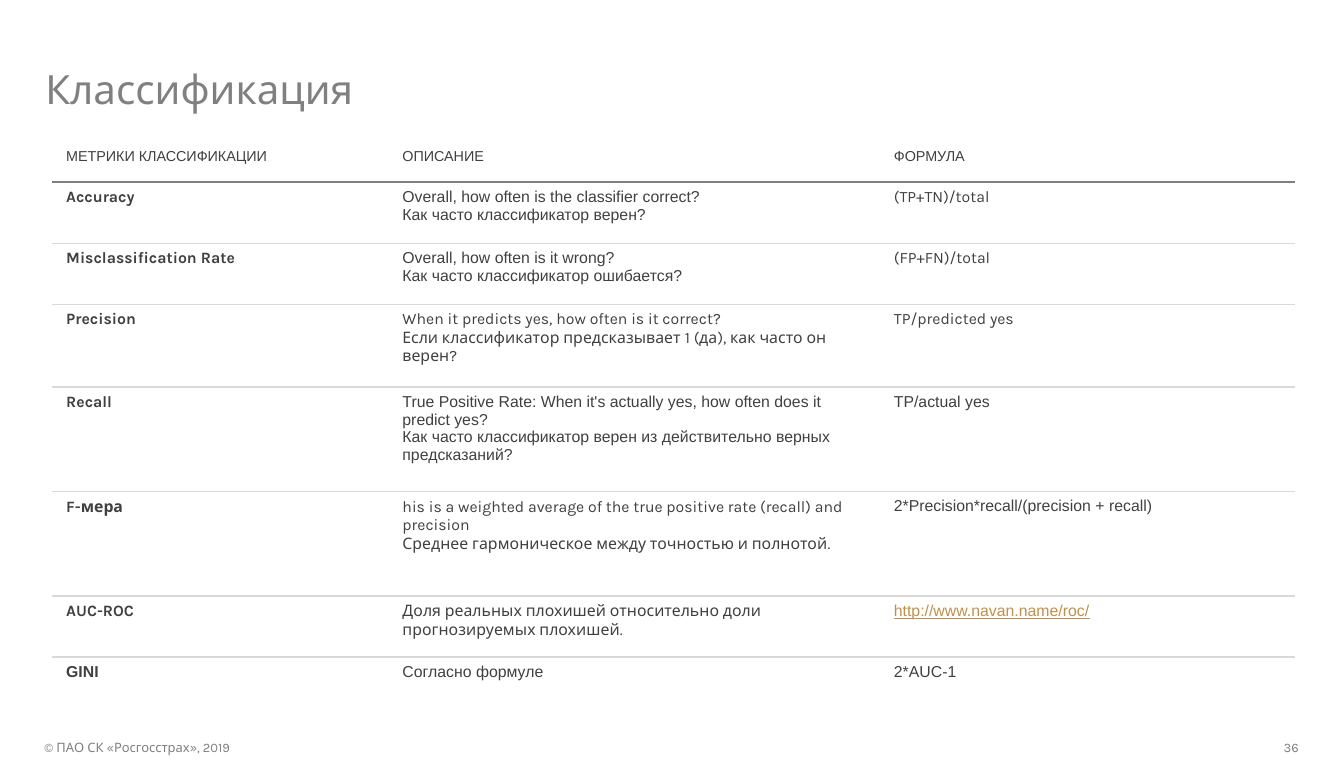
from lxml.etree import SubElement
from pptx import Presentation
from pptx.dml.color import RGBColor
from pptx.enum.text import MSO_ANCHOR, PP_ALIGN
from pptx.oxml.ns import qn
from pptx.util import Inches, Pt

WHITE = RGBColor(0xFF, 0xFF, 0xFF)
DARK = RGBColor(0x40, 0x40, 0x40)
GREY = RGBColor(0x80, 0x80, 0x80)
FOOTER_GREY = RGBColor(0x7F, 0x7F, 0x7F)
RULE_GREY = RGBColor(0xD9, 0xD9, 0xD9)
GOLD = RGBColor(0xBF, 0x91, 0x4D)

ARIAL, KARLA = "Arial", "Karla"

TITLE = "Классификация"
COPYRIGHT = "© ПАО СК «Росгосстрах», 2019"
PAGE_NUMBER = "36"
HEADER = ("МЕТРИКИ КЛАССИФИКАЦИИ", "ОПИСАНИЕ", "ФОРМУЛА")

# Row height, then text and font for metric, description and formula
METRICS = [
    (0.59, ("Accuracy", KARLA),
     ("Overall, how often is the classifier correct?\n"
      "Как часто классификатор верен?", ARIAL),
     ("(TP+TN)/total", KARLA)),
    (0.59, ("Misclassification Rate", KARLA),
     ("Overall, how often is it wrong?\n"
      "Как часто классификатор ошибается?", ARIAL),
     ("(FP+FN)/total", KARLA)),
    (0.8, ("Precision", KARLA),
     ("When it predicts yes, how often is it correct?\n"
      "Если классификатор предсказывает 1 (да), как часто он верен?", KARLA),
     ("TP/predicted yes", KARLA)),
    (1.01, ("Recall", KARLA),
     ("True Positive Rate: When it's actually yes, how often does it predict yes?\n"
      "Как часто классификатор верен из действительно верных предсказаний?", ARIAL),
     ("TP/actual yes", ARIAL)),
    (1.01, ("F-мера", KARLA),
     ("his is a weighted average of the true positive rate (recall) and precision\n"
      "Среднее гармоническое между точностью и полнотой.", KARLA),
     ("2*Precision*recall/(precision + recall)", ARIAL)),
    (0.59, ("AUC-ROC", KARLA),
     ("Доля реальных плохишей относительно доли прогнозируемых плохишей.", KARLA),
     ("http://www.navan.name/roc/", ARIAL)),
    (0.38, ("GINI", ARIAL), ("Согласно формуле", ARIAL), ("2*AUC-1", ARIAL)),
]

SLIDE_WIDTH, SLIDE_HEIGHT = 12.99, 7.48
TABLE_LEFT, TABLE_TOP = 0.51, 1.38
COLUMN_WIDTHS = (3.25, 4.75, 4)
RIGHT_INSETS = (0.13, 0.31, 0.13)
HEADER_HEIGHT = 0.38
FOOTER_TOP, FOOTER_HEIGHT = 7.1, 0.25


def write_text(frame, text, size, font=KARLA, color=DARK, bold=False,
               underline=False, align=PP_ALIGN.LEFT, line_spacing=None):
    frame.word_wrap = True
    for index, line in enumerate(text.split("\n")):
        paragraph = frame.add_paragraph() if index else frame.paragraphs[0]
        paragraph.alignment = align
        paragraph.line_spacing = line_spacing
        run = paragraph.add_run()
        run.text = line
        run.font.name = font
        run.font.size = Pt(size)
        run.font.bold = bold
        run.font.underline = underline
        run.font.color.rgb = color


def add_text(slide, text, left, top, width, height, left_inset=0, **text_format):
    box = slide.shapes.add_textbox(*map(Inches, (left, top, width, height)))
    frame = box.text_frame
    frame.vertical_anchor = MSO_ANCHOR.MIDDLE
    frame.margin_left = Inches(left_inset)
    write_text(frame, text, **text_format)


def set_borders(cell, top, bottom):
    properties = cell._tc.get_or_add_tcPr()
    for side, color in (("L", WHITE), ("R", WHITE), ("T", top), ("B", bottom)):
        line = SubElement(properties, qn(f"a:ln{side}"), w=str(Pt(1)))
        fill = SubElement(line, qn("a:solidFill"))
        SubElement(fill, qn("a:srgbClr"), val=str(color))


def add_metrics_table(slide):
    heights = [HEADER_HEIGHT] + [metric[0] for metric in METRICS]
    rows = [[(text, ARIAL) for text in HEADER]] + [metric[1:] for metric in METRICS]
    rules = [WHITE, FOOTER_GREY] + [RULE_GREY] * (len(METRICS) - 1) + [WHITE]
    table = slide.shapes.add_table(
        len(rows), len(COLUMN_WIDTHS), Inches(TABLE_LEFT), Inches(TABLE_TOP),
        Inches(sum(COLUMN_WIDTHS)), Inches(sum(heights))).table
    table.first_row = table.horz_banding = False
    for column, width in zip(table.columns, COLUMN_WIDTHS):
        column.width = Inches(width)
    for row_index, row in enumerate(rows):
        table.rows[row_index].height = Inches(heights[row_index])
        for column_index, (text, font) in enumerate(row):
            cell = table.cell(row_index, column_index)
            cell.margin_left = Inches(0.13)
            cell.margin_right = Inches(RIGHT_INSETS[column_index])
            cell.margin_top = cell.margin_bottom = Inches(0.06)
            set_borders(cell, rules[row_index], rules[row_index + 1])
            cell.fill.solid()
            cell.fill.fore_color.rgb = WHITE
            is_address = text.startswith("http")
            write_text(cell.text_frame, text, size=11 if row_index else 10, font=font,
                       color=GOLD if is_address else DARK, underline=is_address,
                       bold=row_index > 0 and column_index == 0)


def main():
    presentation = Presentation()
    presentation.slide_width = Inches(SLIDE_WIDTH)
    presentation.slide_height = Inches(SLIDE_HEIGHT)
    slide = presentation.slides.add_slide(presentation.slide_layouts[6])
    add_text(slide, COPYRIGHT, 0.43, FOOTER_TOP, 1.89, FOOTER_HEIGHT,
             size=9, color=FOOTER_GREY)
    add_text(slide, PAGE_NUMBER, 12.24, FOOTER_TOP, 0.41, FOOTER_HEIGHT,
             size=9, color=FOOTER_GREY, align=PP_ALIGN.RIGHT)
    add_text(slide, TITLE, 0.34, 0.56, 11.32, 0.64, left_inset=0.1,
             size=28, color=GREY, line_spacing=0.9)
    add_metrics_table(slide)
    presentation.save("out.pptx")


if __name__ == "__main__":
    main()
